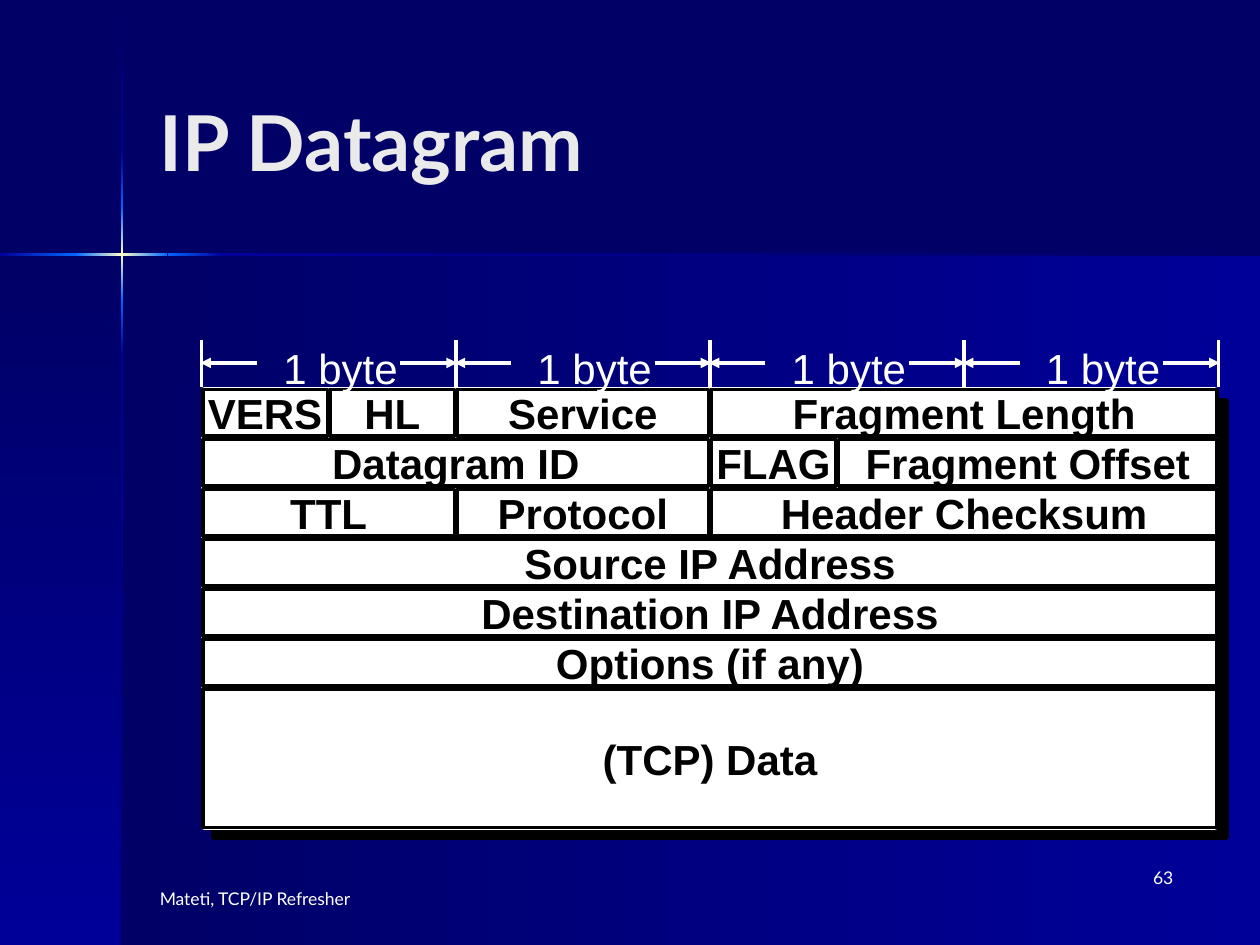
from lxml import etree
from pptx import Presentation
from pptx.dml.color import RGBColor
from pptx.enum.dml import MSO_LINE
from pptx.enum.shapes import MSO_CONNECTOR as CONN, MSO_SHAPE as SHAPE
from pptx.enum.text import MSO_ANCHOR as ANCHOR, PP_ALIGN as ALIGN
from pptx.oxml.ns import qn
from pptx.util import Inches, Pt

C = {"navy": "000066", "blue": "000099", "bright": "0066FF", "glow": "FFFFCC",
     "title": "EAEAEA", "white": "FFFFFF", "black": "000000"}

DOWN, LEFTWARD = 90, 180
BACKDROP = [
    (0.97, 2.02, 9.03, 5.48, LEFTWARD, ["blue", "navy"]),
    (0, 2.02, 0.97, 5.48, DOWN, ["navy", "blue"]),
    (0.96, 0.01, 0.02, 1.2, DOWN, ["navy", "blue"]),
    (0.96, 2.82, 0.02, 4.68, DOWN, ["blue", "navy"]),
    (1.77, 2.01, 8.23, 0.02, LEFTWARD, ["navy", "blue"]),
    (0.96, 2.38, 0.02, 0.44, DOWN, ["bright", "blue"]),
    (0.96, 1.21, 0.02, 0.44, DOWN, ["blue", "bright"]),
    (0.96, 1.65, 0.02, 0.73, DOWN, ["bright", "glow", "bright"]),
    (0, 2.01, 0.61, 0.02, LEFTWARD, ["bright", "blue"]),
    (1.33, 2.01, 0.44, 0.02, LEFTWARD, ["blue", "bright"]),
    (0.6, 2.01, 0.73, 0.02, LEFTWARD, ["bright", "glow", "bright"]),
]

# Each field is (name, width in half bytes)
ROWS = [
    [("VERS", 1), ("HL", 1), ("Service", 2), ("Fragment Length", 4)],
    [("Datagram ID", 4), ("FLAG", 1), ("Fragment Offset", 3)],
    [("TTL", 2), ("Protocol", 2), ("Header Checksum", 4)],
    [("Source IP Address", 8)],
    [("Destination IP Address", 8)],
    [("Options (if any)", 8)],
    [("(TCP) Data", 8)],
]
BYTES = 4
HALF = 8.07 / 8
GAP = 0.02
LEFT, TOP = 1.61, 3.09
ROW_H, ROW_STEP, DATA_H = 0.37, 0.4, 1.1
STEP = (5.47 - TOP) / (len(ROWS) - 1)
TICK_TOP, TICK_END, ARROW_Y = 2.7, 3.07, 2.88


def rgb(name):
    return RGBColor.from_string(C[name])


def add_rect(s, x, y, w, h):
    sp = s.shapes.add_shape(SHAPE.RECTANGLE, Inches(x), Inches(y), Inches(w), Inches(h))
    sp.shadow.inherit = False
    return sp


def add_gradient(s, x, y, w, h, angle, colors):
    sp = add_rect(s, x, y, w, h)
    sp.line.fill.background()
    sp.fill.gradient()
    sp.fill.gradient_angle = 360 - angle
    stops = sp.element.spPr.find(".//" + qn("a:gsLst"))
    for gs in list(stops):
        stops.remove(gs)
    for i, name in enumerate(colors):
        gs = etree.SubElement(stops, qn("a:gs"), pos=str(100000 * i // (len(colors) - 1)))
        etree.SubElement(gs, qn("a:srgbClr"), val=C[name])


def add_box(s, x, y, w, h, line, width):
    sp = add_rect(s, x, y, w, h)
    sp.fill.solid()
    sp.fill.fore_color.rgb = rgb("white")
    sp.line.color.rgb = rgb(line)
    sp.line.width = Pt(width)
    return sp


def write(sp, text, size, font, color, bold=False, align=ALIGN.LEFT, anchor=ANCHOR.TOP, wrap=True):
    tf = sp.text_frame
    tf.word_wrap = wrap
    tf.vertical_anchor = anchor
    p = tf.paragraphs[0]
    p.alignment = align
    r = p.add_run()
    r.text = text
    r.font.size = Pt(size)
    r.font.name = font
    r.font.bold = bold
    r.font.color.rgb = rgb(color)


def add_text(s, x, y, w, h, *args, **kwargs):
    write(s.shapes.add_textbox(Inches(x), Inches(y), Inches(w), Inches(h)), *args, **kwargs)


def add_line(s, x1, y1, x2, y2, dotted=False, arrow=False):
    cn = s.shapes.add_connector(CONN.STRAIGHT, Inches(x1), Inches(y1), Inches(x2), Inches(y2))
    cn.line.color.rgb = rgb("white")
    cn.line.width = Pt(2)
    if dotted:
        cn.line.dash_style = MSO_LINE.ROUND_DOT
    if arrow:
        etree.SubElement(cn.line._get_or_add_ln(), qn("a:tailEnd"), type="triangle")
    etree.SubElement(cn._element.spPr, qn("a:effectLst"))


def add_panel(s):
    sp = add_box(s, 1.62, 3.1, 8.02, 3.46, "white", 4)
    effects = sp.element.spPr.find(qn("a:effectLst"))
    shadow = etree.SubElement(effects, qn("a:outerShdw"), dist=str(Pt(8.5)),
                              dir="2700000", algn="ctr", rotWithShape="0")
    etree.SubElement(shadow, qn("a:srgbClr"), val=C["black"])


def add_fields(s):
    for i, row in enumerate(ROWS):
        start = 0
        height = DATA_H if i == len(ROWS) - 1 else ROW_H
        for name, halves in row:
            sp = add_box(s, LEFT + start * HALF, TOP + i * STEP,
                         halves * HALF - GAP, height, "black", 2)
            write(sp, name, 24, "Arial", "black", bold=True, align=ALIGN.CENTER,
                  anchor=ANCHOR.MIDDLE, wrap=False)
            start += halves


def add_ruler(s):
    for i in range(BYTES):
        x1 = LEFT - 0.01 + i * 2 * HALF
        x2 = x1 + 2 * HALF
        add_line(s, x2, TICK_TOP, x2, TICK_END, dotted=i < BYTES - 1)
        add_line(s, x1, TICK_TOP, x1, TICK_END)
        add_line(s, x1 + 0.44, ARROW_Y, x1 - 0.01, ARROW_Y, arrow=True)
        add_line(s, x2 - 0.44, ARROW_Y, x2 + 0.01, ARROW_Y, arrow=True)
        add_text(s, x1 + 0.55, 2.67, 1.11, 0.5, "1 byte", 24, "Arial", "white", wrap=False)


def main():
    prs = Presentation()
    prs.slide_width, prs.slide_height = Inches(10), Inches(7.5)
    s = prs.slides.add_slide(prs.slide_layouts[6])
    s.background.fill.solid()
    s.background.fill.fore_color.rgb = rgb("navy")
    for band in BACKDROP:
        add_gradient(s, *band)
    add_text(s, 1.17, 0.33, 8.25, 1.57, "IP Datagram", 44, "Lato", "title",
             bold=True, anchor=ANCHOR.MIDDLE)
    add_panel(s)
    add_fields(s)
    add_ruler(s)
    add_text(s, 1.17, 7, 2.67, 0.5, "Mateti, TCP/IP Refresher", 10, "Lato", "white")
    add_text(s, 7.33, 6.83, 2.08, 0.5, "63", 10, "Lato", "white", align=ALIGN.RIGHT)
    prs.save("out.pptx")


if __name__ == "__main__":
    main()
